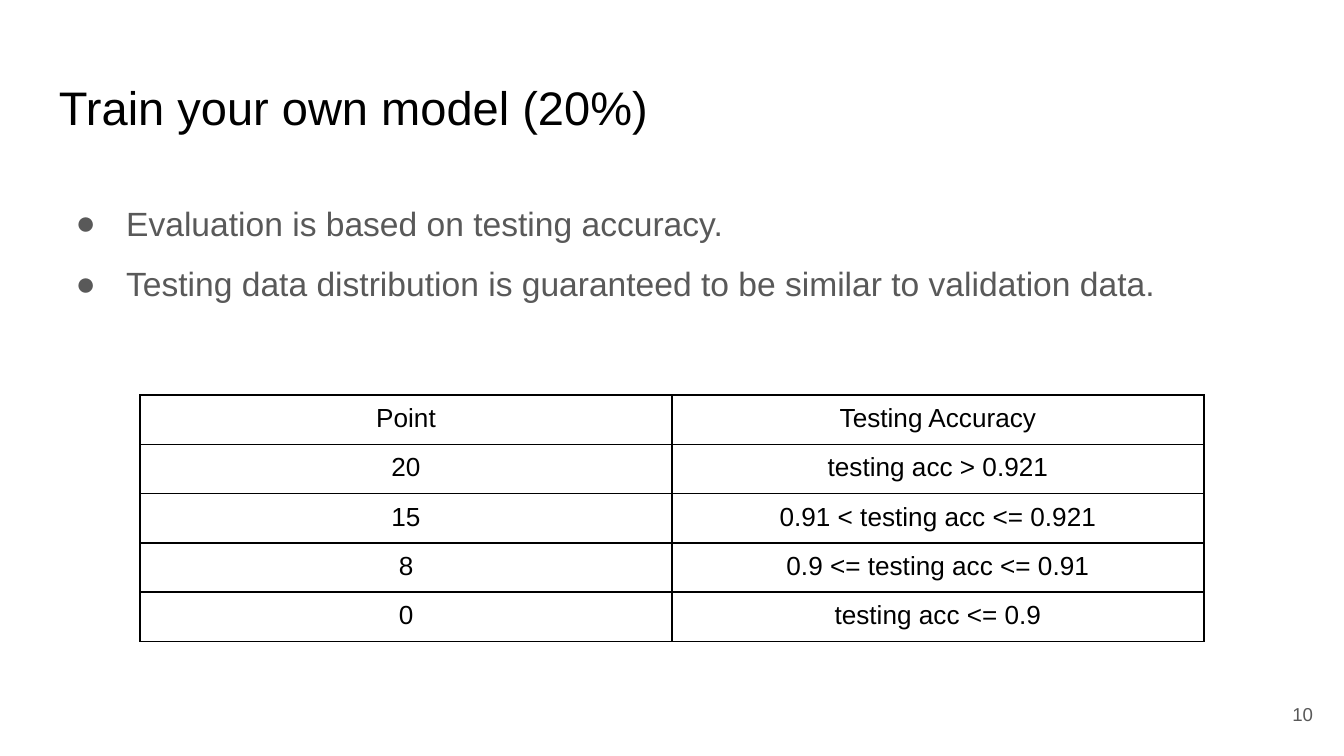
from lxml import etree
from pptx import Presentation
from pptx.dml.color import RGBColor
from pptx.enum.text import MSO_ANCHOR, PP_ALIGN
from pptx.oxml.ns import qn
from pptx.util import Pt

BLACK = RGBColor(0x00, 0x00, 0x00)
GRAY = RGBColor(0x59, 0x59, 0x59)
FONT = "Arial"
LEFT, CENTER, RIGHT = PP_ALIGN.LEFT, PP_ALIGN.CENTER, PP_ALIGN.RIGHT
TOP, MIDDLE = MSO_ANCHOR.TOP, MSO_ANCHOR.MIDDLE

BULLETS = [
    "Evaluation is based on testing accuracy.",
    "Testing data distribution is guaranteed to be similar to validation data.",
]
GRADES = [
    ("Point", "Testing Accuracy"),
    ("20", "testing acc > 0.921"),
    ("15", "0.91 < testing acc <= 0.921"),
    ("8", "0.9 <= testing acc <= 0.91"),
    ("0", "testing acc <= 0.9"),
]


def add_span(para, text, size, color, align=LEFT):
    para.alignment = align
    span = para.add_run()
    span.text = text
    span.font.name = FONT
    span.font.size = Pt(size)
    span.font.color.rgb = color


def add_frame(page, box, anchor=TOP):
    """Add a wrapping text box at box (left, top, width, height in points)."""
    frame = page.shapes.add_textbox(*map(Pt, box)).text_frame
    frame.word_wrap = True
    frame.vertical_anchor = anchor
    frame.margin_left = frame.margin_right = Pt(7.2)
    frame.margin_top = frame.margin_bottom = Pt(7.2)
    return frame


def add_line(page, box, text, size, color, align=LEFT, anchor=TOP):
    frame = add_frame(page, box, anchor)
    add_span(frame.paragraphs[0], text, size, color, align)


def set_bullet(para, color):
    properties = para._p.get_or_add_pPr()
    properties.set("marL", str(Pt(36)))
    properties.set("indent", str(Pt(-27)))
    bullet_color = etree.SubElement(properties, qn("a:buClr"))
    etree.SubElement(bullet_color, qn("a:srgbClr"), val=str(color))
    etree.SubElement(properties, qn("a:buFont"), typeface=FONT)
    etree.SubElement(properties, qn("a:buChar"), char="●")


def add_bullets(page, box, lines):
    frame = add_frame(page, box)
    for index, line in enumerate(lines):
        para = frame.add_paragraph() if index else frame.paragraphs[0]
        para.line_spacing = 1.5
        set_bullet(para, GRAY)
        add_span(para, line, 18, GRAY)


def set_borders(cell, color, width):
    properties = cell._tc.get_or_add_tcPr()
    for position, side in enumerate(("a:lnL", "a:lnR", "a:lnT", "a:lnB")):
        line = etree.Element(qn(side), w=str(Pt(width)))
        fill = etree.SubElement(line, qn("a:solidFill"))
        etree.SubElement(fill, qn("a:srgbClr"), val=str(color))
        properties.insert(position, line)


def add_grades(page, box, rows):
    width, height = box[2:]
    columns = len(rows[0])
    table = page.shapes.add_table(len(rows), columns, *map(Pt, box)).table
    table.first_row = table.horz_banding = False
    for column in table.columns:
        column.width = Pt(width / columns)
    for row, texts in zip(table.rows, rows):
        row.height = Pt(height / len(rows))
        for cell, text in zip(row.cells, texts):
            cell.fill.background()
            cell.margin_left = cell.margin_right = Pt(4.8)
            cell.margin_top = cell.margin_bottom = Pt(4.8)
            set_borders(cell, BLACK, 1)
            add_span(cell.text_frame.paragraphs[0], text, 14, BLACK, CENTER)


def main():
    deck = Presentation()
    deck.slide_width, deck.slide_height = Pt(720), Pt(405)
    page = deck.slides.add_slide(deck.slide_layouts[6])
    add_line(page, (24.5, 35, 671, 45), "Train your own model (20%)", 25.2, BLACK)
    add_bullets(page, (24.5, 90.75, 671, 269), BULLETS)
    add_line(page, (667.25, 367.2, 43.2, 31), "10", 10, GRAY, RIGHT, MIDDLE)
    add_grades(page, (75, 211.6, 570, 128.5), GRADES)
    deck.save("out.pptx")


if __name__ == "__main__":
    main()
